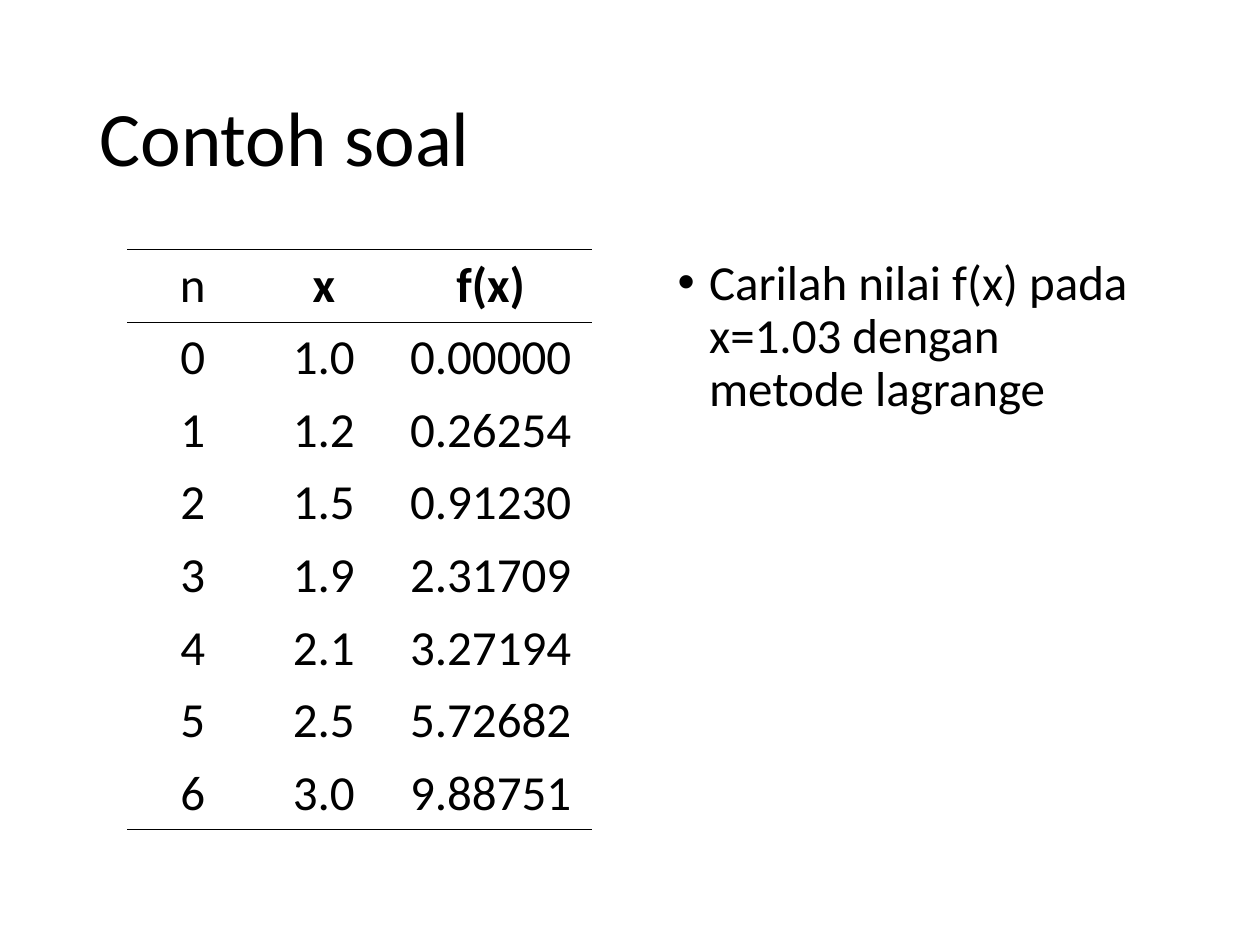
from lxml import etree
from pptx import Presentation
from pptx.dml.color import RGBColor
from pptx.enum.text import MSO_ANCHOR, PP_ALIGN
from pptx.oxml.ns import qn
from pptx.util import Inches, Pt

BLACK = "000000"


def style(par, size, color=BLACK, bold=False):
    for run in par.runs:
        font = run.font
        font.name = "Calibri"
        font.size = Pt(size)
        font.bold = bold
        font.color.rgb = RGBColor.from_string(color)


def border(cell, sides):
    """Rule the named sides of a cell and leave the others bare."""
    props = cell._tc.get_or_add_tcPr()
    for side in "LRTB":
        line = etree.SubElement(props, qn(f"a:ln{side}"), w=str(Pt(0.45)))
        if side in sides:
            fill = etree.SubElement(line, qn("a:solidFill"))
            etree.SubElement(fill, qn("a:srgbClr"), val=BLACK)
        else:
            etree.SubElement(line, qn("a:noFill"))


deck = Presentation()
deck.slide_width, deck.slide_height = Inches(10), Inches(7.5)
slide = deck.slides.add_slide(deck.slide_layouts[5])

# Title
title = slide.shapes.title
title.left, title.top = Inches(0.69), Inches(0.4)
title.width, title.height = Inches(8.63), Inches(1.45)
frame = title.text_frame
frame.text = "Contoh soal"
frame.vertical_anchor = MSO_ANCHOR.MIDDLE
par = frame.paragraphs[0]
par.alignment = PP_ALIGN.LEFT
par.line_spacing = 0.9
style(par, 44)

# Table of values
rows = [
    ("n", "x", "f(x)"),
    ("0", "1.0", "0.00000"),
    ("1", "1.2", "0.26254"),
    ("2", "1.5", "0.91230"),
    ("3", "1.9", "2.31709"),
    ("4", "2.1", "3.27194"),
    ("5", "2.5", "5.72682"),
    ("6", "3.0", "9.88751"),
]
last = len(rows) - 1
rules = {0: "TB", 1: "T", last: "B"}
table = slide.shapes.add_table(len(rows), 3, Inches(1.01), Inches(1.98),
                               Inches(3.69), Inches(4.53)).table
table.first_row = table.horz_banding = False
for col, width in zip(table.columns, (1.04, 1.04, 1.61)):
    col.width = Inches(width)
for r, row in enumerate(rows):
    for c, text in enumerate(row):
        cell = table.cell(r, c)
        border(cell, rules.get(r, ""))
        cell.fill.background()
        cell.text_frame.text = text
        par = cell.text_frame.paragraphs[0]
        par.alignment = PP_ALIGN.CENTER
        style(par, 28, bold=r == 0 and c > 0)

# Question
box = slide.shapes.add_textbox(Inches(5.28), Inches(2), Inches(4.03), Inches(4.24))
frame = box.text_frame
frame.word_wrap = True
frame.text = "Carilah nilai f(x) pada x=1.03 dengan metode lagrange"
par = frame.paragraphs[0]
props = par._p.get_or_add_pPr()
props.set("marL", str(Inches(0.25)))
props.set("indent", str(Inches(-0.25)))
etree.SubElement(props, qn("a:buFont"), typeface="Arial")
etree.SubElement(props, qn("a:buChar"), char="•")
par.line_spacing = 0.9
style(par, 28)

deck.save("out.pptx")
